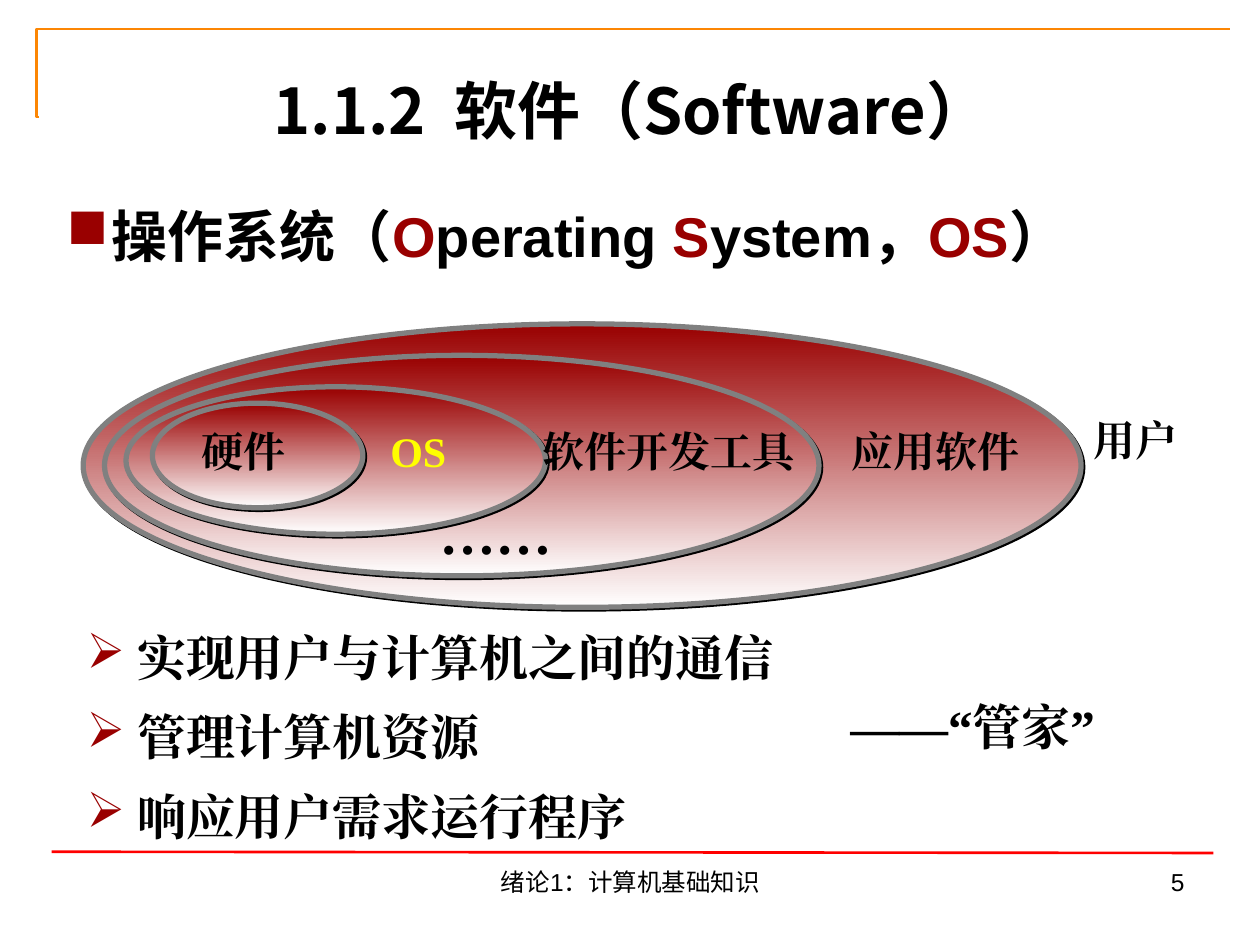
from dataclasses import dataclass

from lxml import etree
from pptx import Presentation
from pptx import util as u
from pptx.dml.color import RGBColor
from pptx.enum import shapes, text
from pptx.oxml import ns

COLORS = {
    "black": "000000",
    "white": "FFFFFF",
    "dark_red": "990000",
    "yellow": "FFFF00",
    "gray": "808080",
    "orange": "FC8604",
    "red": "FF0000",
}
SERIF, SANS, CJK = "Times New Roman", "Arial", "Noto Sans CJK JP"


@dataclass(frozen=True)
class Layer:
    left: float
    top: float
    width: float
    height: float


@dataclass(frozen=True)
class Label:
    words: str
    left: float
    top: float
    width: float
    height: float = 0.5
    size: int = 24
    font: str = SERIF
    color: str = "black"
    bold: bool = True
    align: text.PP_ALIGN = text.PP_ALIGN.LEFT
    bullet: str = ""
    indent: float = 0


LAYERS = [
    Layer(0.66, 2.57, 7.92, 2.25),
    Layer(0.83, 2.82, 5.67, 1.75),
    Layer(1, 3.07, 3.33, 1.17),
    Layer(1.21, 3.2, 1.67, 0.83),
]
LABELS = [
    Label("硬件", 1.5, 3.33, 1.25),
    Label("OS", 3, 3.33, 1.17, color="yellow"),
    Label("软件开发工具", 4.21, 3.33, 2.31),
    Label("应用软件", 6.66, 3.33, 1.72),
    Label("……", 3.39, 3.91, 1.58, 0.64, 32),
    Label("用户", 8.58, 3.24, 1.3),
    Label("——“管家”", 6.65, 5.48, 2.83, 0.57, 28),
    Label("绪论1：计算机基础知识", 3.42, 6.83, 3.17, 0.52, 14, SANS,
          bold=False, align=text.PP_ALIGN.CENTER),
    Label("5", 7.17, 6.83, 2.33, 0.52, 14, SANS,
          bold=False, align=text.PP_ALIGN.RIGHT),
]
TASKS = ["实现用户与计算机之间的通信", "管理计算机资源", "响应用户需求运行程序"]
HEADING = [
    ("操作系统（", "black"),
    ("O", "dark_red"),
    ("perating ", "black"),
    ("S", "dark_red"),
    ("ystem，", "black"),
    ("OS", "dark_red"),
    ("）", "black"),
]


def rgb(name: str) -> RGBColor:
    return RGBColor.from_string(COLORS[name])


def add_xml(parent, tag: str, **attrs: str):
    return etree.SubElement(parent, ns.qn(tag), attrs)


def set_font(p, size: int, name: str, color: str, bold: bool) -> None:
    f = p.font
    f.size, f.name, f.bold = u.Pt(size), name, bold
    f.color.rgb = rgb(color)
    add_xml(f._element, "a:ea", typeface=name)


def set_bullet(p, char: str, indent: float) -> None:
    pPr = p._p.get_or_add_pPr()
    pPr.set("marL", str(u.Inches(indent)))
    pPr.set("indent", str(-u.Inches(indent)))
    clr = add_xml(pPr, "a:buClr")
    add_xml(clr, "a:srgbClr", val=COLORS["dark_red"])
    add_xml(pPr, "a:buChar", char=char)


def add_label(s, label: Label):
    box = (label.left, label.top, label.width, label.height)
    tf = s.shapes.add_textbox(*map(u.Inches, box)).text_frame
    tf.word_wrap = True
    p = tf.paragraphs[0]
    p.alignment = label.align
    if label.bullet:
        set_bullet(p, label.bullet, label.indent)
    if label.words:
        p.add_run().text = label.words
    set_font(p, label.size, label.font, label.color, label.bold)
    return p


def add_layer(group, layer: Layer) -> None:
    box = (layer.left, layer.top, layer.width, layer.height)
    sp = group.shapes.add_shape(shapes.MSO_SHAPE.OVAL, *map(u.Inches, box))
    sp.fill.gradient()
    sp.fill.gradient_angle = 270
    for stop, color in zip(sp.fill.gradient_stops, ("dark_red", "white")):
        stop.color.rgb = rgb(color)
    sp.line.color.rgb = rgb("gray")
    sp.line.width = u.Pt(3)
    sp.shadow.inherit = False
    effects = sp._element.spPr.find(ns.qn("a:effectLst"))
    shadow = add_xml(effects, "a:outerShdw", dist=str(u.Pt(1.4)),
                     dir="2700000", algn="ctr", rotWithShape="0")
    add_xml(shadow, "a:srgbClr", val=COLORS["black"])


def add_line(s, kind, start: tuple, end: tuple, color: str):
    c = s.shapes.add_connector(kind, *map(u.Inches, start + end))
    c.line.color.rgb = rgb(color)
    c.line.width = u.Pt(1.5)
    add_xml(c._element.spPr, "a:effectLst")
    return c


def add_frame(s) -> None:
    c = add_line(s, shapes.MSO_CONNECTOR.ELBOW, (9.76, 0.23), (0.31, 0.93), "orange")
    spPr = c._element.spPr
    spPr.find(ns.qn("a:xfrm")).set("rot", "10800000")
    guides = spPr.find(ns.qn("a:prstGeom")).find(ns.qn("a:avLst"))
    add_xml(guides, "a:gd", name="adj1", fmla="val -200")


def set_title(s) -> None:
    sp = s.shapes.title
    sp.left, sp.top, sp.width, sp.height = map(u.Inches, (0.51, 0.36, 9, 1.02))
    tf = sp.text_frame
    tf.text = "1.1.2  软件（Software）"
    tf.vertical_anchor = text.MSO_ANCHOR.MIDDLE
    p = tf.paragraphs[0]
    p.alignment = text.PP_ALIGN.CENTER
    set_font(p, 36, CJK, "black", True)


def main() -> None:
    prs = Presentation()
    prs.slide_width, prs.slide_height = u.Inches(10), u.Inches(7.5)
    s = prs.slides.add_slide(prs.slide_layouts[5])

    set_title(s)
    add_frame(s)
    add_line(s, shapes.MSO_CONNECTOR.STRAIGHT, (0.41, 6.76), (9.63, 6.77), "red")

    p = add_label(s, Label("", 0.43, 1.55, 8.98, 0.64, 32, SANS,
                           bullet="■", indent=0.36))
    for words, color in HEADING:
        r = p.add_run()
        r.text = words
        r.font.color.rgb = rgb(color)

    group = s.shapes.add_group_shape()
    for layer in LAYERS:
        add_layer(group, layer)
    for label in LABELS:
        add_label(s, label)
    for i, task in enumerate(TASKS):
        add_label(s, Label(task, 0.59, 4.93 + 0.63 * i, 7.64, 0.57, 28,
                           bullet="➢", indent=0.4))

    prs.save("out.pptx")


if __name__ == "__main__":
    main()
